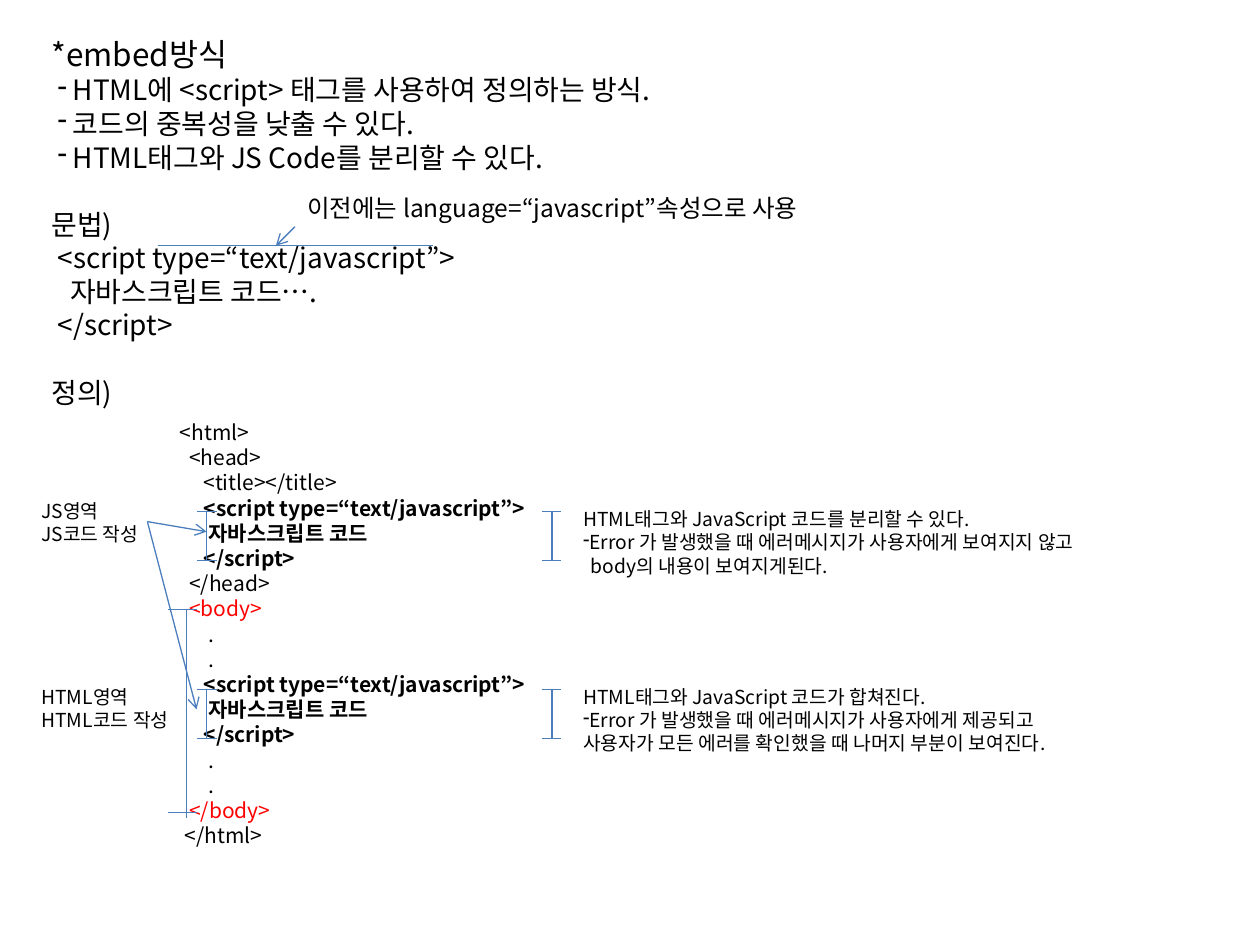
from lxml import etree
from pptx import Presentation
from pptx import util as u
from pptx.dml.color import RGBColor
from pptx.enum import shapes, text
from pptx.oxml import ns

BLACK = RGBColor(0x00, 0x00, 0x00)
RED = RGBColor(0xFF, 0x00, 0x00)
BLUE = RGBColor(0x4B, 0x7E, 0xBC)
FONT = "Noto Sans CJK KR"
LEAD = 1.2  # line height as a multiple of the text size


class Page:
    def __init__(self, slide):
        self.slide = slide

    def box(self, x, y, w, h, lines, size):
        """Text box; returns its paragraphs."""
        shape = self.slide.shapes.add_textbox(*map(u.Inches, (x, y, w, h)))
        frame = shape.text_frame
        frame.word_wrap = True
        frame.auto_size = text.MSO_AUTO_SIZE.NONE
        frame.margin_right = 0
        frame.text = "\n".join(lines)
        for para in frame.paragraphs:
            self.style(para, size)
        return frame.paragraphs

    def style(self, para, size, bold=False, color=BLACK):
        para.line_spacing = u.Pt(size * LEAD)
        for run in para.runs:
            font = run.font
            font.size, font.bold, font.name = u.Pt(size), bold, FONT
            font.color.rgb = color
            props = run._r.get_or_add_rPr()
            east = props.find(ns.qn("a:ea"))
            if east is None:
                east = etree.Element(ns.qn("a:ea"))
                props.find(ns.qn("a:latin")).addnext(east)
            east.set("typeface", FONT)

    def indent(self, para, left, dash=0):
        """Indent a paragraph; a dash width hangs a dash bullet before it."""
        props = para._p.get_or_add_pPr()
        props.set("marL", str(u.Inches(left)))
        props.set("indent", str(-u.Inches(dash)))
        if dash:
            bullet = etree.SubElement(props, ns.qn("a:buChar"))
            bullet.set("char", "-")

    def line(self, x1, y1, x2, y2, arrow=False):
        ends = map(u.Inches, (x1, y1, x2, y2))
        link = self.slide.shapes.add_connector(shapes.MSO_CONNECTOR.STRAIGHT, *ends)
        link.line.color.rgb = BLUE
        link.line.width = u.Pt(0.75)
        if arrow:
            tail = etree.SubElement(link.line._get_or_add_ln(), ns.qn("a:tailEnd"))
            tail.set("type", "arrow")
        etree.SubElement(link._element.spPr, ns.qn("a:effectLst"))

    def range(self, left, right, stem, top, end, over=0):
        """Two short bars joined by a stem."""
        for y in (top, end):
            self.line(left, y, right, y)
        self.line(stem, top, stem, end + over)

    def note(self, y, w, lines):
        first, error, last = self.box(4.53, y, w, 0.66, lines, 11)
        self.indent(error, 0.05, 0.05)
        return last


def main():
    deck = Presentation()
    deck.slide_width, deck.slide_height = u.Inches(10), u.Inches(7.5)
    page = Page(deck.slides.add_slide(deck.slide_layouts[6]))

    # Heading, points and syntax
    intro = page.box(0.31, 0.23, 5.5, 3.64, [
        "*embed방식",
        "HTML에 <script> 태그를 사용하여 정의하는 방식.",
        "코드의 중복성을 낮출 수 있다.",
        "HTML태그와 JS Code를 분리할 수 있다.",
        "문법)",
        " <script type=“text/javascript”>",
        "   자바스크립트 코드….",
        " </script>",
        "정의)",
    ], 16)
    page.style(intro[0], 18)
    for point in intro[1:4]:
        page.indent(point, 0.17, 0.12)
    for head in (intro[4], intro[8]):
        head.space_before = u.Pt(16 * LEAD)

    # Remark on the type attribute
    page.line(1.25, 1.95, 3.44, 1.95)
    page.line(2.34, 1.8, 2.19, 1.95, arrow=True)
    page.box(2.34, 1.48, 4.24, 0.34,
             ["이전에는 language=“javascript”속성으로 사용"], 14)

    # Code listing
    script = [
        "     <script type=“text/javascript”>",
        "      자바스크립트 코드",
        "     </script>",
    ]
    dots = ["      ."] * 2
    code = page.box(1.33, 3.28, 3.02, 3.53, [
        "<html>", "  <head>", "     <title></title>", *script, "  </head>",
        "  <body>", *dots, *script, *dots, "  </body>", " </html>",
    ], 12)
    for para in code:
        if para.text in script:
            page.style(para, 12, bold=True)
        elif "body" in para.text:
            page.style(para, 12, color=RED)

    # Ranges of the two scripts and of the body
    for top in (4.06, 5.47):
        page.range(1.56, 1.72, 1.64, top, top + 0.39)
        page.range(4.3, 4.45, 4.38, top, top + 0.39)
    page.range(1.33, 1.56, 1.48, 4.84, 6.45, over=0.04)

    # Notes on the right
    last = page.note(3.98, 4.53, [
        "HTML태그와 JavaScript 코드를 분리할 수 있다.",
        "Error 가 발생했을 때 에러메시지가 사용자에게 보여지지 않고",
        "body의 내용이 보여지게된다.",
    ])
    page.indent(last, 0.06)
    page.note(5.39, 4.28, [
        "HTML태그와 JavaScript 코드가 합쳐진다.",
        "Error 가 발생했을 때 에러메시지가 사용자에게 제공되고",
        "사용자가 모든 에러를 확인했을 때 나머지 부분이 보여진다.",
    ])

    # Labels on the left
    page.box(0.23, 3.91, 1.01, 0.47, ["JS영역", "JS코드 작성"], 11)
    page.box(0.23, 5.39, 1.28, 0.47, ["HTML영역", "HTML코드 작성"], 11)
    for x, y in ((1.64, 4.22), (1.56, 5.63)):
        page.line(1.17, 4.14, x, y, arrow=True)

    deck.save("out.pptx")


if __name__ == "__main__":
    main()
